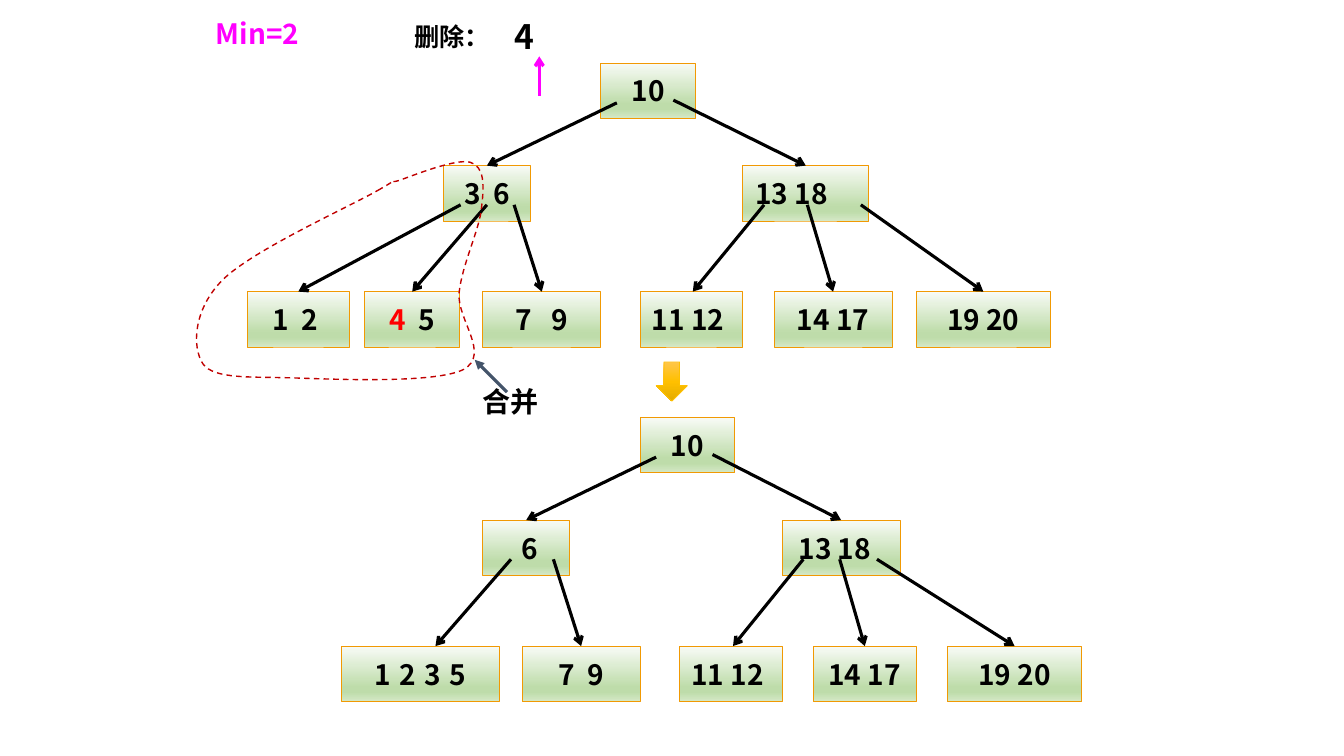
"""Draw a B-tree before and after key 4 is deleted and two nodes are merged."""
from dataclasses import dataclass
from lxml.etree import SubElement as Sub
from pptx import Presentation as Deck
from pptx.dml.color import RGBColor as Color
from pptx.enum.dml import MSO_LINE as Dash
from pptx.enum.shapes import MSO_CONNECTOR as Link, MSO_SHAPE as Form
from pptx.enum.text import MSO_ANCHOR as Anchor, MSO_AUTO_SIZE as Fit, PP_ALIGN as Align
from pptx.oxml.ns import qn
from pptx.util import Pt


@dataclass(frozen=True)
class Theme:
    font: str = "Noto Sans CJK SC"
    small: int = 18
    base: int = 20
    large: int = 24
    ink: str = "000000"
    pink: str = "FF00FF"
    red: str = "FF0000"
    loop: str = "C00000"
    slate: str = "44546A"
    edge: str = "F19903"
    gold: str = "FFC000"
    green: tuple = ((0, "F8FBF6"), (74, "BEDCAA"), (83, "BEDCAA"), (100, "D4E8C6"))
    amber: tuple = ((0, "FFC64B"), (50, "FFC000"), (100, "E3AB00"))
    thin: float = 0.5
    bold: float = 2.25


class Board:
    def __init__(self, deck, theme):
        self.theme = theme
        self.slide = deck.slides.add_slide(deck.slide_layouts[6])
        self.shapes = self.slide.shapes

    def run(self, para, text, size, color, gap=0):
        run = para.add_run()
        run.text = text
        font = run.font
        font.size, font.bold, font.name = Pt(size), True, self.theme.font
        font.color.rgb = Color.from_string(color)
        Sub(font._element, qn("a:ea"), typeface=self.theme.font)
        if gap:
            font._element.set("spc", str(round(gap * 100)))

    def label(self, x, y, w, h, text, size, color, pad=(0, 0)):
        box = self.shapes.add_textbox(Pt(x), Pt(y), Pt(w), Pt(h))
        frame = box.text_frame
        frame.word_wrap, frame.auto_size = True, Fit.SHAPE_TO_FIT_TEXT
        frame.margin_left = frame.margin_right = Pt(pad[0])
        frame.margin_top = frame.margin_bottom = Pt(pad[1])
        self.run(frame.paragraphs[0], text, size, color)

    def solid(self, form, x, y, w, h, stops, line):
        shape = self.shapes.add_shape(form, Pt(x), Pt(y), Pt(w), Pt(h))
        shape.shadow.inherit = False
        shape.fill.gradient()
        shape.fill.gradient_angle = 270
        ramp = shape._element.spPr.find(".//" + qn("a:gsLst"))
        ramp.clear()
        for place, color in stops:
            stop = Sub(ramp, qn("a:gs"), pos=str(place * 1000))
            Sub(stop, qn("a:srgbClr"), val=color)
        shape.line.color.rgb = Color.from_string(line)
        shape.line.width = Pt(self.theme.thin)
        return shape

    def node(self, x, y, w, h, keys, gap=0, pad=(7.2, 7.2), align=Align.CENTER, hot=None):
        theme = self.theme
        frame = self.solid(Form.RECTANGLE, x, y, w, h, theme.green, theme.edge).text_frame
        frame.word_wrap, frame.vertical_anchor = True, Anchor.MIDDLE
        frame.margin_left, frame.margin_right = Pt(pad[0]), Pt(pad[1])
        para = frame.paragraphs[0]
        para.alignment = align
        for i, key in enumerate(keys.split()):
            if i:
                self.run(para, " ", theme.base, theme.ink, gap)
            self.run(para, key, theme.base, theme.red if key == hot else theme.ink)

    def arrow(self, start, end, color, head="arrow"):
        line = self.shapes.add_connector(Link.STRAIGHT, *map(Pt, start + end))
        line.line.color.rgb = Color.from_string(color)
        line.line.width = Pt(self.theme.bold)
        Sub(line.line._get_or_add_ln(), qn("a:tailEnd"), type=head)
        Sub(line._element.spPr, qn("a:effectLst"))

    def curve(self, start, points, color):
        build = self.shapes.build_freeform(*start, scale=Pt(1))
        build.add_line_segments(points, close=True)
        shape = build.convert_to_shape()
        shape.shadow.inherit = False
        shape.fill.background()
        shape.line.color.rgb = Color.from_string(color)
        shape.line.width, shape.line.dash_style = Pt(1), Dash.DASH
        trail = shape._element.spPr.find(".//" + qn("a:path"))
        legs = trail.findall(qn("a:lnTo"))
        for i in range(0, len(legs), 3):
            bend = trail.makeelement(qn("a:cubicBezTo"))
            legs[i].addprevious(bend)
            for leg in legs[i:i + 3]:
                bend.append(leg[0])
                trail.remove(leg)

    def tree(self, top, nodes, edges):
        rows, high = (top, top + 73.4, top + 163.4), 39.6
        for row, x, w, keys, style in nodes:
            self.node(x, rows[row], w, high, keys, **style)
        for child, x, drop, drift in edges:
            row, left, w = nodes[child][:3]
            end = (left + w / 2 + drift, rows[row])
            self.arrow((x, rows[row - 1] + drop), end, self.theme.ink)


SPACE = 4.5
TAIL = {"pad": (7.2, 7.2 + SPACE)}

BEFORE = (
    (0, 429.1, 67.7, "10", {}),
    (1, 316.8, 62, "3 6", {"gap": SPACE}),
    (1, 530.6, 90, "13 18", {"pad": (2 * SPACE, 0), "align": Align.LEFT}),
    (2, 176.4, 73.4, "1 2", {"gap": SPACE, **TAIL}),
    (2, 260.6, 67.7, "4 5", {"gap": SPACE, "hot": "4"}),
    (2, 344.9, 84.2, "7 9", {"gap": 2 * SPACE}),
    (2, 457.2, 73.4, "11 12", TAIL),
    (2, 553, 84.2, "14 17", {}),
    (2, 654.5, 95.8, "19 20", {}),
)
BEFORE_EDGES = (
    (1, 440.6, 28.6, 0), (2, 481, 26.6, 0),
    (3, 329, 28, 0), (4, 347.8, 28, 0), (5, 367.2, 28, 0),
    (6, 545.8, 28, 1), (7, 576.7, 28, 0), (8, 614.9, 28, 0),
)
AFTER = (
    (0, 457.2, 67.7, "10", {}),
    (1, 344.9, 62, "6", {"pad": (7.2 + SPACE, 7.2)}),
    (1, 558.7, 84.2, "13 18", {"pad": (7.2 + SPACE, 7.2), "align": Align.LEFT}),
    (2, 244.1, 112.3, "1 2 3 5", {"gap": SPACE / 3}),
    (2, 373, 84.2, "7 9", {"gap": SPACE}),
    (2, 485.3, 73.4, "11 12", TAIL),
    (2, 581, 73.4, "14 17", {}),
    (2, 676.8, 95.8, "19 20", {}),
)
AFTER_EDGES = (
    (1, 468.7, 28.4, 0), (2, 509, 26.6, 0),
    (3, 365, 28, 10.8), (4, 395.3, 28, 0),
    (5, 573.8, 28, 1.6), (6, 599.8, 28, 0), (7, 626.4, 28, 0),
)
LOOP = (
    (290.9, 123.8), (274.3, 132.5), (285.1, 128.9),
    (295.9, 125.3), (326.2, 113), (336.2, 115.9),
    (346.3, 118.8), (345.6, 132.5), (344.2, 147.6),
    (342.7, 163.4), (330.5, 189.4), (328.3, 208.8),
    (326.2, 228.2), (351.4, 253.4), (331.2, 264.2),
    (311, 274.3), (240.5, 270.7), (209.5, 270),
    (178.6, 269.3), (153.4, 271.4), (145.4, 259.9),
    (136.8, 248.4), (138.2, 221), (159.1, 200.2),
    (180, 179.3), (249.1, 147.6), (270, 136.1),
)


def main():
    deck, theme = Deck(), Theme()
    deck.slide_width, deck.slide_height = Pt(960), Pt(540)
    board = Board(deck, theme)
    board.label(154.1, 11.5, 90.7, 24.5, "Min=2", theme.base, theme.pink)
    board.label(288.7, 11.5, 73.4, 29, "删除：", theme.small, theme.ink, (7.2, 3.6))
    board.label(367.2, 11.5, 33.8, 29, "4", theme.large, theme.ink)
    board.arrow((385.2, 68.4), (385.2, 40.3), theme.pink)
    board.tree(44.9, BEFORE, BEFORE_EDGES)
    board.curve(LOOP[-1], LOOP, theme.loop)
    board.arrow((362.2, 280.1), (339.1, 257), theme.slate, "triangle")
    board.label(344.9, 274.3, 62.6, 24.5, "合并", theme.base, theme.ink)
    board.tree(298.1, AFTER, AFTER_EDGES)
    board.solid(Form.DOWN_ARROW, 468.7, 258.5, 22.3, 28.1, theme.amber, theme.gold)
    deck.save("out.pptx")


if __name__ == "__main__":
    main()
